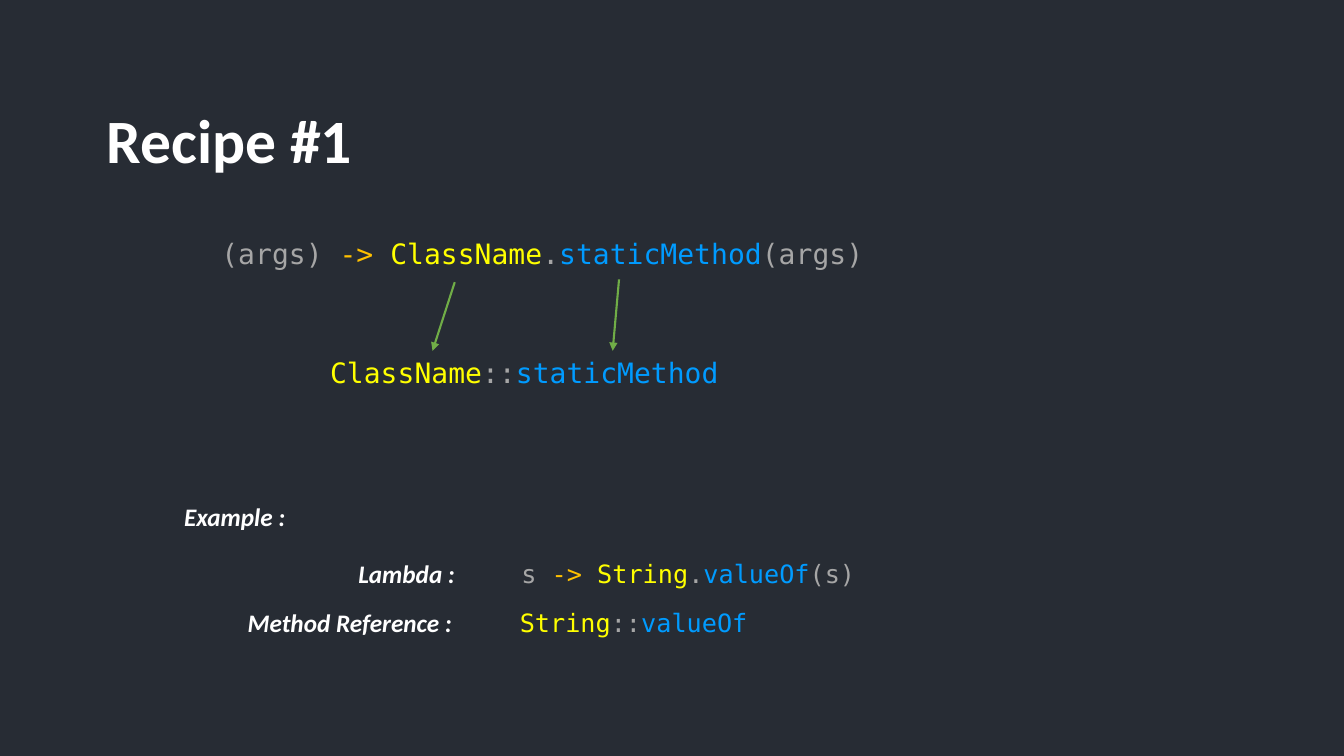
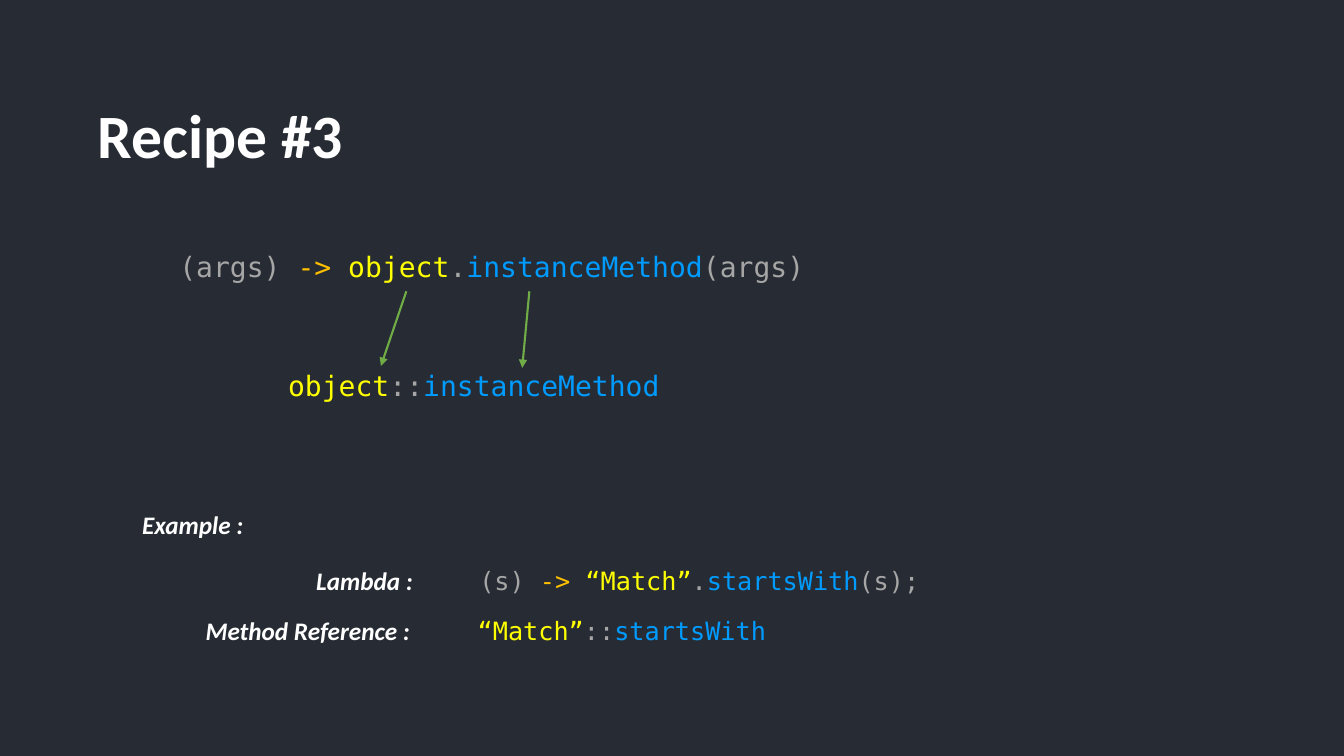
from pptx import Presentation
from pptx.dml.color import RGBColor
from pptx.enum.shapes import MSO_CONNECTOR
from pptx.enum.text import MSO_ANCHOR, MSO_AUTO_SIZE
from pptx.oxml.ns import qn
from pptx.util import Cm, Pt
from lxml import etree

STRAIGHT = MSO_CONNECTOR.STRAIGHT
MIDDLE = MSO_ANCHOR.MIDDLE
GROW = MSO_AUTO_SIZE.SHAPE_TO_FIT_TEXT

# Colours
DARK = RGBColor(0x27, 0x2C, 0x34)
WHITE = RGBColor(0xFF, 0xFF, 0xFF)
GRAY = RGBColor(0xA6, 0xA6, 0xA6)
AMBER = RGBColor(0xFF, 0xC0, 0x00)
YELLOW = RGBColor(0xFF, 0xFF, 0x00)
BLUE = RGBColor(0x00, 0x9B, 0xFF)
GREEN = RGBColor(0x70, 0xAD, 0x47)

# Text formats
TITLE = {"name": "Calibri", "size": Pt(44), "bold": True}
LABEL = {"name": "Calibri", "size": Pt(18), "bold": True, "italic": True}
RULE = {"name": "DejaVu Sans Mono", "size": Pt(20)}
CODE = {"name": "DejaVu Sans Mono", "size": Pt(18)}

# Per line: indent from the recipe's left edge, height
RULE_IN, SHORT_IN, LAMBDA_IN, REF_IN = 0.94, 3.68, 4.39, 1.6
RULE_H, LINE_H = 1.12, 1.02
LAMBDA_TAB, REF_TAB = 4.11, 6.86

# Lengths in cm; tops and widths run from the rule down to the reference
RECIPES = [
    {
        "title": "Recipe #1", "corner": (2.44, 2.54), "left": 4.39,
        "tops": (5.84, 8.84, 12.5, 13.94, 15.19),
        "widths": (18.16, 16.71, 11.73, 14.5, 14.5),
        "rule": ("(args)", "ClassName", "staticMethod", "(args)"),
        "sample": ("s", "String", "valueOf", "(s)"),
        "arrows": [(11.46, 7.11, 10.9, 8.84), (15.6, 7.04, 15.44, 8.84)],
    },
    {
        "title": "Recipe #3", "corner": (2.21, 2.41), "left": 3.33,
        "tops": (6.17, 9.17, 12.7, 14.12, 15.39),
        "widths": (20.55, 16.71, 11.73, 17.15, 20.65),
        "rule": ("(args)", "object", "instanceMethod", "(args)"),
        "sample": ("(s)", "“Match”", "startsWith", "(s);"),
        "arrows": [(13.34, 7.34, 13.16, 9.27), (10.24, 7.34, 9.6, 9.22)],
    },
]


def add_text(slide, box, parts):
    """Add one line of text; parts holds (text, colour, format)."""
    shape = slide.shapes.add_textbox(*map(Cm, box))
    frame = shape.text_frame
    frame.word_wrap = True
    frame.auto_size = GROW
    for text, color, style in parts:
        run = frame.paragraphs[0].add_run()
        run.text = text
        run.font.color.rgb = color
        for key, value in style.items():
            setattr(run.font, key, value)
    return frame


def add_title(slide, corner, text):
    frame = add_text(slide, (*corner, 28.63, 2.18), [(text, WHITE, TITLE)])
    frame.auto_size = MSO_AUTO_SIZE.NONE
    frame.vertical_anchor = MIDDLE
    frame.paragraphs[0].line_spacing = 0.9


def add_row(slide, box, label, tab, code):
    """Add a label and its code, set apart by a tab stop."""
    frame = add_text(slide, box, [(label + "\t", WHITE, LABEL)] + code)
    props = frame.paragraphs[0]._p.get_or_add_pPr()
    stops = etree.SubElement(props, qn("a:tabLst"))
    etree.SubElement(stops, qn("a:tab"), pos=str(Cm(tab)), algn="l")


def add_arrow(slide, ends):
    arrow = slide.shapes.add_connector(STRAIGHT, *map(Cm, ends))
    arrow.line.color.rgb = GREEN
    arrow.line.width = Pt(1.5)
    props = arrow._element.spPr
    etree.SubElement(props.find(qn("a:ln")), qn("a:tailEnd"), type="triangle")
    etree.SubElement(props, qn("a:effectLst"))


def lambda_code(names, style):
    args, owner, method, call = names
    return [(args + " ", GRAY, style), ("-> ", AMBER, style),
            (owner, YELLOW, style), (".", GRAY, style),
            (method, BLUE, style), (call, GRAY, style)]


def ref_code(names, style):
    owner, method = names[1:3]
    return [(owner, YELLOW, style), ("::", GRAY, style), (method, BLUE, style)]


def add_recipe(deck, recipe):
    slide = deck.slides.add_slide(deck.slide_layouts[6])
    fill = slide.background.fill
    fill.solid()
    fill.fore_color.rgb = DARK
    add_title(slide, recipe["corner"], recipe["title"])

    indents = (RULE_IN, SHORT_IN, 0, LAMBDA_IN, REF_IN)
    heights = (RULE_H, RULE_H, LINE_H, LINE_H, LINE_H)
    rule, short, head, lam, ref = [
        (recipe["left"] + indent, top, width, height)
        for indent, top, width, height
        in zip(indents, recipe["tops"], recipe["widths"], heights)]

    # General rule
    add_text(slide, rule, lambda_code(recipe["rule"], RULE))
    add_text(slide, short, ref_code(recipe["rule"], RULE))
    for ends in recipe["arrows"]:
        add_arrow(slide, ends)

    # Example
    sample = recipe["sample"]
    add_text(slide, head, [("Example :", WHITE, LABEL)])
    add_row(slide, lam, "Lambda :", LAMBDA_TAB, lambda_code(sample, CODE))
    add_row(slide, ref, "Method Reference :", REF_TAB, ref_code(sample, CODE))


def main():
    deck = Presentation()
    deck.slide_width, deck.slide_height = Cm(33.87), Cm(19.05)
    for recipe in RECIPES:
        add_recipe(deck, recipe)
    deck.save("out.pptx")


main()
